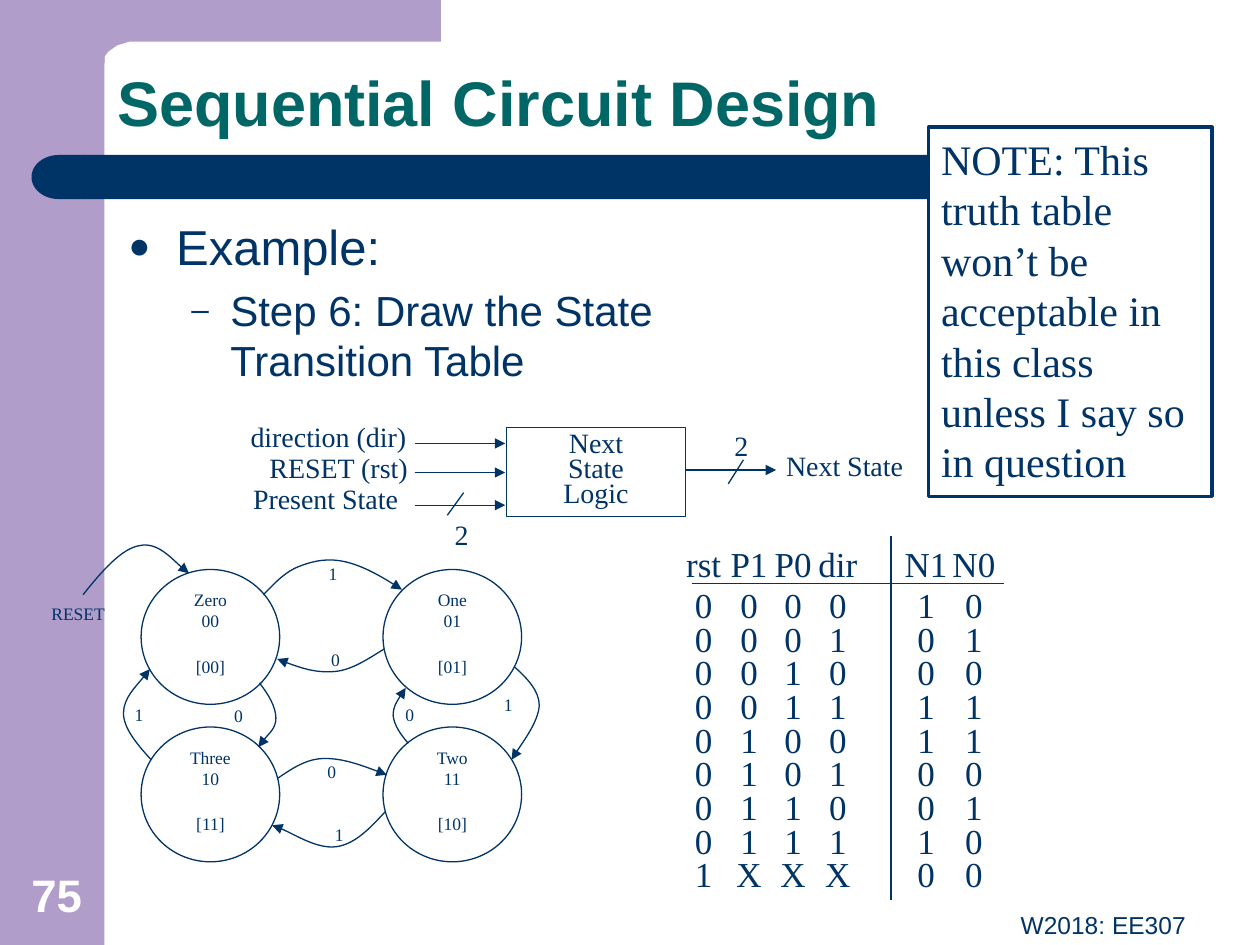
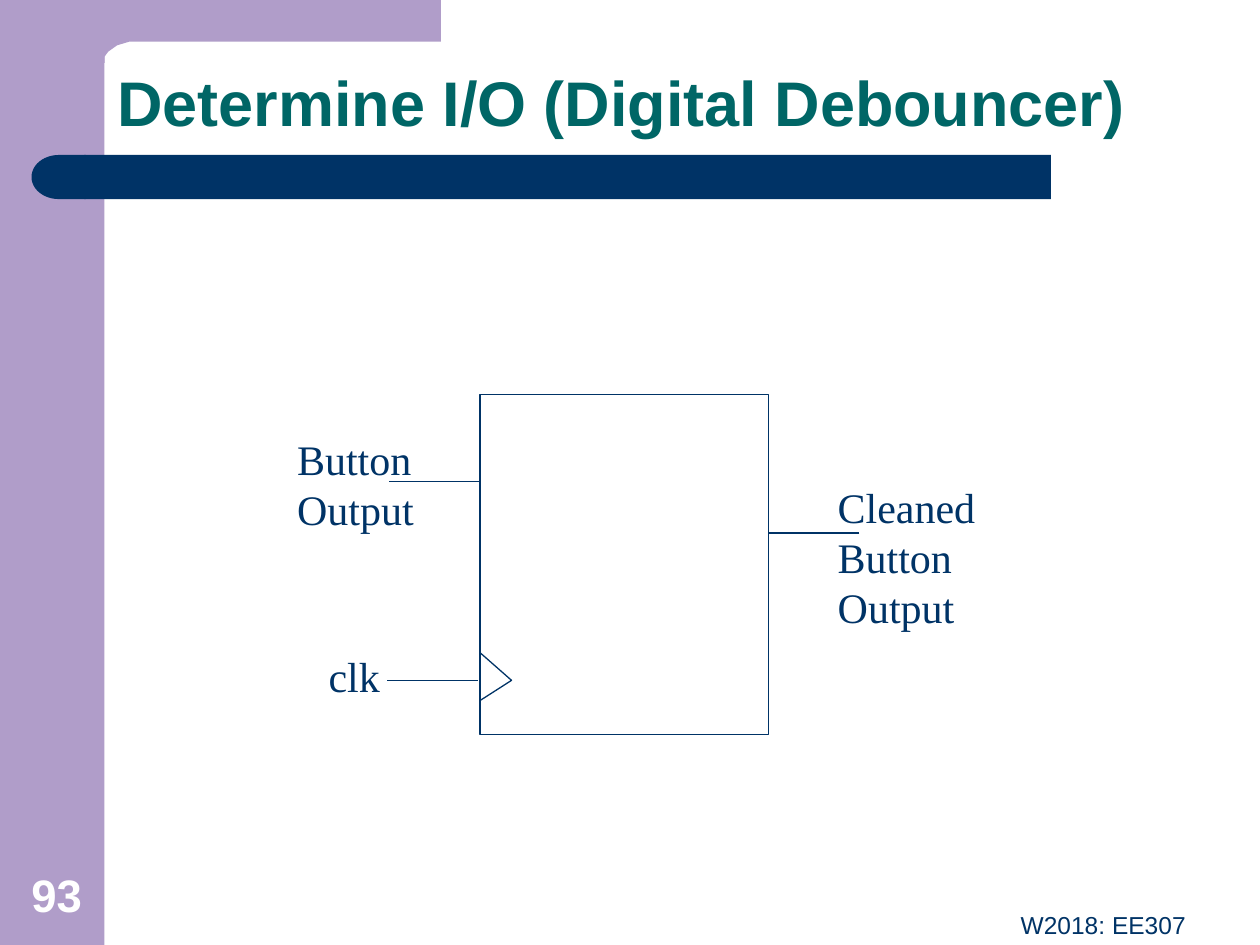
from typing import NamedTuple

from lxml import etree
from pptx import Presentation
from pptx.dml.color import RGBColor
from pptx.enum.shapes import MSO_CONNECTOR, MSO_SHAPE
from pptx.enum.text import MSO_ANCHOR, PP_ALIGN
from pptx.oxml.ns import qn
from pptx.util import Inches, Pt

NAVY, TEAL, LILAC, WHITE = "003366", "006666", "B09DC9", "FFFFFF"
SANS, SERIF = "Arial", "Times New Roman"
LEFT, CENTER, RIGHT = PP_ALIGN.LEFT, PP_ALIGN.CENTER, PP_ALIGN.RIGHT
TOP, MIDDLE, BOTTOM = MSO_ANCHOR.TOP, MSO_ANCHOR.MIDDLE, MSO_ANCHOR.BOTTOM
RECTANGLE, ELLIPSE, DELAY = MSO_SHAPE.RECTANGLE, MSO_SHAPE.OVAL, MSO_SHAPE.FLOWCHART_DELAY
STRAIGHT = MSO_CONNECTOR.STRAIGHT
TITLE_ONLY = 5
THIN = 0.75

Point = tuple[float, float]


class Label(NamedTuple):
    text: str
    left: float
    top: float
    width: float
    height: float


class Line(NamedTuple):
    start: Point
    end: Point
    arrow: bool = False
    width: float = THIN


class State(NamedTuple):
    text: str
    left: float
    top: float


class Bullet(NamedTuple):
    text: str
    size: int
    mark: str
    indent: float
    hanging: float
    space_before: int


CORNER = [(3.5, 0), (3.5, 0.33), (1.11, 0.33), (1.03, 0.33), (0.93, 0.36), (0.86, 0.41),
          (0.83, 0.45), (0.83, 0.5), (0.5, 0.5), (0.5, 0)]

BULLETS = [Bullet("Example:", 28, "●", 0.38, 0.38, 0),
           Bullet("Step 6: Draw the State Transition Table", 24, "–", 0.81, 0.31, 5)]

BLOCK_LABELS = [
    Label("direction (dir)", 1.89, 3.28, 1.7, 0.37),
    Label("RESET (rst)", 2.04, 3.53, 1.68, 0.37),
    Label("Present State", 1.91, 3.77, 1.38, 0.37),
    Label("Next State", 6.14, 3.51, 1.53, 0.37),
    Label("2", 5.73, 3.35, 0.3, 0.37),
    Label("2", 3.51, 4.06, 0.31, 0.37),
]
BLOCK_LINES = [Line((3.29, y), (4.01, y), arrow=True) for y in (3.52, 3.75, 4.01)] + [
    Line((5.44, 3.73), (6.16, 3.73), arrow=True),
    Line((5.9, 3.65), (5.78, 3.84)),
    Line((3.68, 3.91), (3.55, 4.09)),
]

STATE_COLUMNS, STATE_ROWS = (1.12, 3.04), (4.52, 5.77)
STATES = [
    State("Zero\n00\n[00]", STATE_COLUMNS[0], STATE_ROWS[0]),
    State("One\n01\n[01]", STATE_COLUMNS[1], STATE_ROWS[0]),
    State("Three\n10\n[11]", STATE_COLUMNS[0], STATE_ROWS[1]),
    State("Two\n11\n[10]", STATE_COLUMNS[1], STATE_ROWS[1]),
]
# Each transition is a start point followed by two cubic curves of three points.
TRANSITIONS: list[list[Point]] = [
    [(0.66, 4.72), (0.81, 4.53), (0.97, 4.35), (1.11, 4.33), (1.25, 4.3), (1.44, 4.51), (1.5, 4.55)],
    [(2.09, 4.72), (2.17, 4.64), (2.24, 4.56), (2.34, 4.51), (2.59, 4.4), (2.8, 4.42), (3.19, 4.68)],
    [(4.08, 5.29), (4.18, 5.38), (4.28, 5.48), (4.28, 5.6), (4.27, 5.73), (4.1, 5.96), (4.06, 6.03)],
    [(3.06, 6.44), (2.94, 6.57), (2.82, 6.7), (2.67, 6.72), (2.52, 6.74), (2.25, 6.57), (2.16, 6.55)],
    [(1.2, 6.03), (1.09, 5.91), (0.98, 5.78), (0.98, 5.66), (0.98, 5.54), (1.15, 5.37), (1.19, 5.31)],
    [(3.05, 5.15), (2.92, 5.23), (2.79, 5.32), (2.65, 5.33), (2.5, 5.34), (2.35, 5.29), (2.2, 5.23)],
    [(3.24, 5.9), (3.18, 5.83), (3.13, 5.76), (3.12, 5.68), (3.12, 5.61), (3.17, 5.53), (3.22, 5.46)],
    [(2.2, 6.18), (2.32, 6.1), (2.43, 6.02), (2.58, 6.02), (2.72, 6.02), (2.89, 6.08), (3.07, 6.15)],
    [(2.06, 5.42), (2.13, 5.51), (2.19, 5.61), (2.19, 5.7), (2.19, 5.78), (2.07, 5.89), (2.05, 5.93)],
]
TRANSITION_LABELS = [Label("RESET", 0.31, 4.74, 0.69, 0.27)] + [
    Label(text, left, top, 0.4, 0.27) for text, left, top in [
        ("0", 3.12, 5.54), ("0", 2.53, 5.1), ("0", 1.76, 5.55), ("0", 2.5, 5.99),
        ("1", 3.9, 5.46), ("1", 2.51, 4.42), ("1", 0.97, 5.54), ("1", 2.56, 6.49)]
]

TRUTH_ROWS = [row.split() for row in (
    "rst P1 P0 dir N1 N0", "0 0 0 0 1 0", "0 0 0 1 0 1", "0 0 1 0 0 0", "0 0 1 1 1 1",
    "0 1 0 0 1 1", "0 1 0 1 0 0", "0 1 1 0 0 1", "0 1 1 1 1 0", "1 X X X 0 0")]
TRUTH_WIDTHS = [0.37, 0.35, 0.35, 0.36, 0.71, 0.38]
TRUTH_HEADER_HEIGHT, TRUTH_BODY_HEIGHT = 0.38, 2.4
NEXT_STATE_COLUMN, NEXT_STATE_GAP = 4, 0.33
TRUTH_LINES = [Line((5.49, 4.63), (7.97, 4.63), width=1), Line((7.07, 4.25), (7.07, 7.14), width=1)]

DEBOUNCER_LABELS = [
    Label("Button\nOutput", 2.26, 3.39, 3.07, 0.9),
    Label("clk", 2.51, 5.11, 0.94, 0.5),
    Label("Cleaned\nButton\nOutput", 6.55, 3.77, 2.42, 1.3),
]
DEBOUNCER_LINES = [Line((3.81, 3.82), (3.09, 3.82)), Line((3.79, 5.4), (3.07, 5.4)),
                   Line((6.82, 4.23), (6.1, 4.23))]


def rgb(value: str) -> RGBColor:
    return RGBColor.from_string(value)


def format_text(frame, text: str, *, size: float, font: str = SERIF, color: str = NAVY,
                bold: bool = False, align=LEFT, anchor=TOP, spacing: float = 1.0) -> None:
    """Fill a text frame, one paragraph for each line of the text."""
    frame.word_wrap = True
    frame.vertical_anchor = anchor
    for index, line in enumerate(text.split("\n")):
        para = frame.paragraphs[0] if index == 0 else frame.add_paragraph()
        para.alignment = align
        para.line_spacing = spacing
        span = para.add_run()
        span.text = line
        span.font.size, span.font.name, span.font.bold = Pt(size), font, bold
        span.font.color.rgb = rgb(color)


def paint(shape, fill: str | None, line: str | None, width: float = THIN) -> None:
    shape.shadow.inherit = False
    if fill:
        shape.fill.solid()
        shape.fill.fore_color.rgb = rgb(fill)
    else:
        shape.fill.background()
    if line:
        shape.line.color.rgb = rgb(line)
        shape.line.width = Pt(width)
    else:
        shape.line.fill.background()


def add_box(page, kind, left: float, top: float, width: float, height: float, *,
            fill: str | None = None, line: str | None = None, line_width: float = THIN):
    box = page.shapes.add_shape(kind, Inches(left), Inches(top), Inches(width), Inches(height))
    paint(box, fill, line, line_width)
    return box


def add_label(page, label: Label, **text_format):
    box = page.shapes.add_textbox(*(Inches(length) for length in label[1:]))
    format_text(box.text_frame, label.text, **text_format)


def add_arrowhead(shape) -> None:
    outline = shape._element.spPr.find(qn("a:ln"))
    etree.SubElement(outline, qn("a:tailEnd"), type="triangle")


def add_line(page, line: Line) -> None:
    ends = (Inches(length) for length in line.start + line.end)
    connector = page.shapes.add_connector(STRAIGHT, *ends)
    connector.line.color.rgb = rgb(NAVY)
    connector.line.width = Pt(line.width)
    if line.arrow:
        add_arrowhead(connector)
    etree.SubElement(connector._element.spPr, qn("a:effectLst"))


def add_outline(page, points: list[Point], *, fill: str | None = None,
                line: str | None = None, close: bool = False):
    corners = [(Inches(x), Inches(y)) for x, y in points]
    builder = page.shapes.build_freeform(*corners[0])
    builder.add_line_segments(corners[1:], close=close)
    outline = builder.convert_to_shape()
    paint(outline, fill, line)
    return outline


def add_curved_arrow(page, points: list[Point]) -> None:
    """Turn every three line segments of an open outline into one cubic curve."""
    arrow = add_outline(page, points, line=NAVY)
    segments = list(arrow._element.iter(qn("a:lnTo")))
    for first in range(0, len(segments), 3):
        curve = etree.Element(qn("a:cubicBezTo"))
        segments[first].addprevious(curve)
        for segment in segments[first:first + 3]:
            curve.append(segment[0])
            segment.getparent().remove(segment)
    add_arrowhead(arrow)


def add_page(deck, title: str, number: str):
    page = deck.slides.add_slide(deck.slide_layouts[TITLE_ONLY])
    add_box(page, RECTANGLE, 0, 0, 0.83, 7.5, fill=LILAC)
    add_outline(page, CORNER, fill=LILAC, close=True)
    add_box(page, RECTANGLE, 0.67, 1.23, 7.67, 0.35, fill=NAVY)
    add_box(page, DELAY, 0.25, 1.23, 0.43, 0.35, fill=NAVY).rotation = 180
    heading = page.shapes.title
    heading.left, heading.top = Inches(0.83), Inches(0.33)
    heading.width, heading.height = Inches(8.67), Inches(0.83)
    format_text(heading.text_frame, title, size=36, font=SANS, color=TEAL, bold=True,
                anchor=BOTTOM, spacing=0.9)
    add_label(page, Label(number, 0, 6.83, 0.9, 0.53), size=26, font=SANS, color=WHITE,
              bold=True, align=CENTER, anchor=BOTTOM)
    add_label(page, Label("W2018: EE307", 3.42, 7.17, 6.09, 0.33), size=14, font=SANS, align=RIGHT)
    return page


def add_bullets(page) -> None:
    frame = page.shapes.add_textbox(Inches(0.92), Inches(1.67), Inches(5.72), Inches(1.5)).text_frame
    frame.word_wrap = True
    for index, bullet in enumerate(BULLETS):
        para = frame.paragraphs[0] if index == 0 else frame.add_paragraph()
        para.level = index
        para.space_before = Pt(bullet.space_before)
        span = para.add_run()
        span.text = bullet.text
        span.font.size, span.font.name = Pt(bullet.size), SANS
        span.font.color.rgb = rgb(NAVY)
        properties = para._p.get_or_add_pPr()
        properties.set("marL", str(Inches(bullet.indent)))
        properties.set("indent", str(-Inches(bullet.hanging)))
        bullet_color = etree.SubElement(properties, qn("a:buClr"))
        etree.SubElement(bullet_color, qn("a:srgbClr"), val=NAVY)
        etree.SubElement(properties, qn("a:buSzPct"), val="75000")
        etree.SubElement(properties, qn("a:buFont"), typeface=SANS)
        etree.SubElement(properties, qn("a:buChar"), char=bullet.mark)


def add_truth_table(page) -> None:
    body_count = len(TRUTH_ROWS) - 1
    table = page.shapes.add_table(
        len(TRUTH_ROWS), len(TRUTH_WIDTHS), Inches(5.4), Inches(4.32), Inches(sum(TRUTH_WIDTHS)),
        Inches(TRUTH_HEADER_HEIGHT + TRUTH_BODY_HEIGHT)).table
    table.first_row = table.horz_banding = False
    for column, width in zip(table.columns, TRUTH_WIDTHS):
        column.width = Inches(width)
    for index, values in enumerate(TRUTH_ROWS):
        height = TRUTH_BODY_HEIGHT / body_count if index else TRUTH_HEADER_HEIGHT
        table.rows[index].height = Inches(height)
        for column, value in enumerate(values):
            cell = table.cell(index, column)
            cell.fill.background()
            cell.margin_left = cell.margin_right = cell.margin_top = cell.margin_bottom = 0
            if column == NEXT_STATE_COLUMN:
                cell.margin_left = Inches(NEXT_STATE_GAP)
            format_text(cell.text_frame, value, size=20, align=CENTER, spacing=0.8)
            cell.vertical_anchor = MIDDLE
    for line in TRUTH_LINES:
        add_line(page, line)


def add_state_diagram(page) -> None:
    for state in STATES:
        circle = add_box(page, ELLIPSE, state.left, state.top, 1.1, 1.07, line=NAVY)
        frame = circle.text_frame
        frame.margin_left = frame.margin_right = frame.margin_top = frame.margin_bottom = 0
        format_text(frame, state.text, size=10, align=CENTER)
        frame.paragraphs[-1].space_before = Pt(14)
    for points in TRANSITIONS:
        add_curved_arrow(page, points)
    for label in TRANSITION_LABELS:
        add_label(page, label, size=10)


def add_block_diagram(page) -> None:
    block = add_box(page, RECTANGLE, 4.02, 3.39, 1.42, 0.71, line=NAVY)
    format_text(block.text_frame, "Next\nState\nLogic", size=16, align=CENTER, spacing=0.75)
    for line in BLOCK_LINES:
        add_line(page, line)
    for label in BLOCK_LABELS:
        add_label(page, label, size=16)


def build_transition_page(deck) -> None:
    page = add_page(deck, "Sequential Circuit Design", "75")
    add_bullets(page)
    add_truth_table(page)
    add_state_diagram(page)
    add_block_diagram(page)
    note = add_box(page, RECTANGLE, 7.37, 1.01, 2.25, 2.93, fill=WHITE, line=NAVY, line_width=2)
    format_text(note.text_frame, "NOTE: This truth table won’t be acceptable in this class "
                "unless I say so in question", size=24)


def build_debouncer_page(deck) -> None:
    page = add_page(deck, "Determine I/O (Digital Debouncer)", "93")
    add_box(page, RECTANGLE, 3.81, 3.13, 2.29, 2.7, line=NAVY)
    add_outline(page, [(3.81, 5.18), (4.06, 5.4), (3.81, 5.56)], line=NAVY)
    for line in DEBOUNCER_LINES:
        add_line(page, line)
    for label in DEBOUNCER_LABELS:
        add_label(page, label, size=24)


def main() -> None:
    deck = Presentation()
    deck.slide_width, deck.slide_height = Inches(10), Inches(7.5)
    build_transition_page(deck)
    build_debouncer_page(deck)
    deck.save("out.pptx")


if __name__ == "__main__":
    main()
